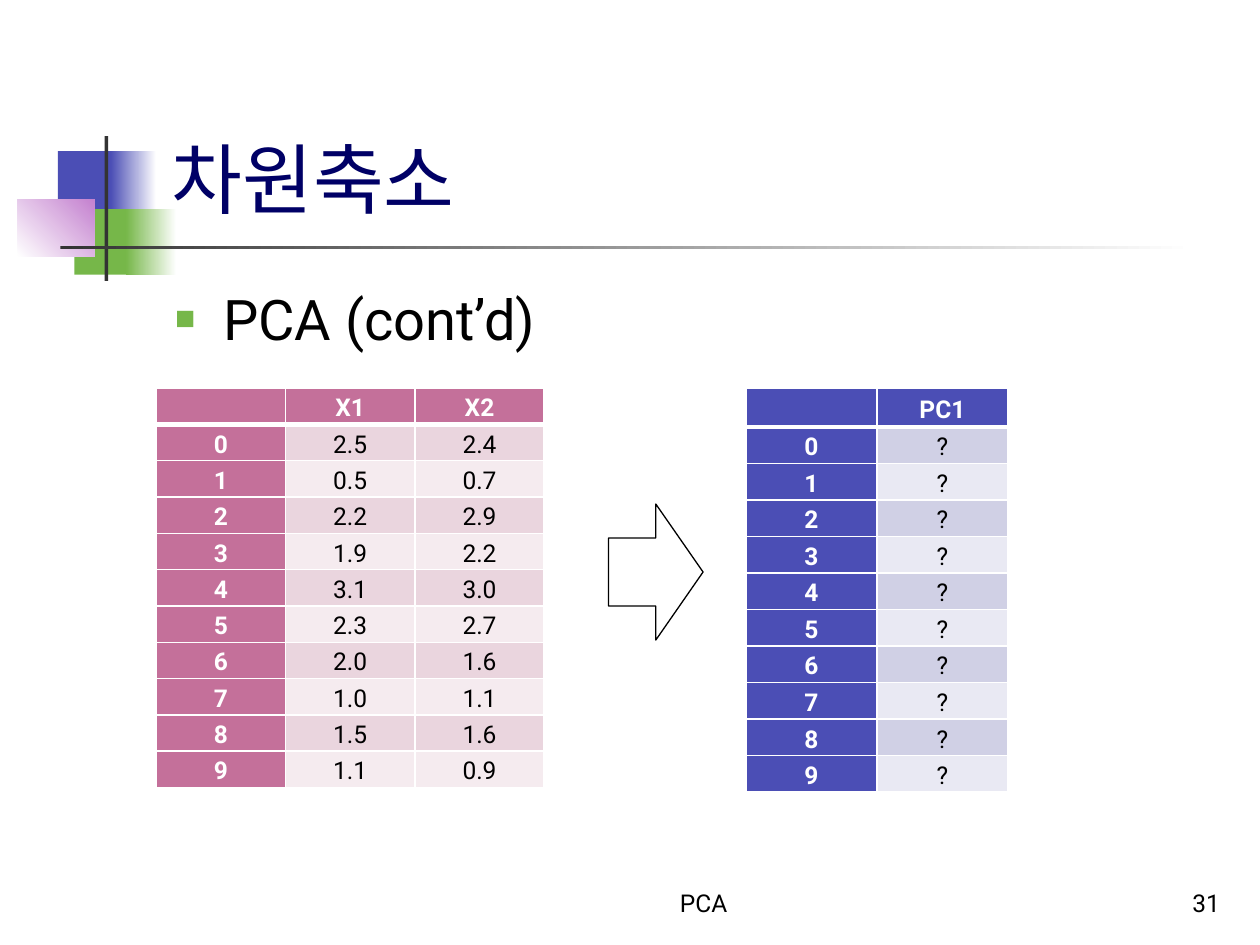
from lxml import etree
from pptx import Presentation
from pptx.dml.color import RGBColor
from pptx.enum.shapes import MSO_SHAPE
from pptx.enum.text import MSO_ANCHOR, MSO_AUTO_SIZE, PP_ALIGN
from pptx.oxml.ns import qn
from pptx.util import Inches, Pt

FONT = "Roboto"
COLORS = {
    "blue": "4B4EB5", "green": "76B749", "violet": "C481CF", "dark": "333333",
    "white": "FFFFFF", "black": "000000", "navy": "000066", "pink": "C4709A",
    "pink_band": "EAD5DE", "pink_light": "F5EBEF",
    "blue_band": "D0D0E5", "blue_light": "E9E9F3",
}


def rgb(name):
    """Return the named colour."""
    return RGBColor.from_string(COLORS[name])


def write(paragraph, text, size, color, align=None, bold=False):
    """Fill a paragraph with one formatted run."""
    run = paragraph.add_run()
    run.text = text
    paragraph.alignment = align
    run.font.name, run.font.size, run.font.bold = FONT, Pt(size), bold
    run.font.color.rgb = rgb(color)


def place(shape, left, top, width, height):
    """Move and size a shape."""
    shape.left, shape.top = Inches(left), Inches(top)
    shape.width, shape.height = Inches(width), Inches(height)


def add_block(slide, box, start, end=None, angle=0):
    """Add a borderless rectangle with a plain or gradient fill."""
    block = slide.shapes.add_shape(MSO_SHAPE.RECTANGLE, *map(Inches, box))
    block.shadow.inherit = False
    block.line.fill.background()
    if end is None:
        block.fill.solid()
        block.fill.fore_color.rgb = rgb(start)
        return
    block.fill.gradient()
    block.fill.gradient_angle = angle
    for stop, name, position in zip(block.fill.gradient_stops, (start, end), (0, 1)):
        stop.color.rgb = rgb(name)
        stop.position = position


def add_ornament(slide, left, top):
    """Draw the overlapping squares and the two rules beside the title."""
    blocks = [
        ((0.32, 0.12, 0.48, 0.52), "blue"),
        ((0.74, 0.12, 0.36, 0.52), "blue", "white"),
        ((0.45, 0.58, 0.46, 0.52), "green"),
        ((0.86, 0.58, 0.4, 0.52), "green", "white"),
        ((0, 0.5, 0.61, 0.46), "white", "violet", 45),
        ((0.69, 0, 0.03, 1.15), "dark"),
        ((0.34, 0.87, 9, 0.03), "dark", "white"),
    ]
    for (x, y, width, height), *fill in blocks:
        add_block(slide, (left + x, top + y, width, height), *fill)


def fill_title(slide, box, text):
    """Place the title at the bottom of its box."""
    title = slide.shapes.title
    slide.shapes._spTree.append(title._element)
    place(title, *box)
    frame = title.text_frame
    frame.auto_size = MSO_AUTO_SIZE.NONE
    frame.vertical_anchor = MSO_ANCHOR.BOTTOM
    write(frame.paragraphs[0], text, 44, "navy", PP_ALIGN.LEFT)


def fill_body(slide, box, text):
    """Place the body list with a square green bullet."""
    body = slide.placeholders[1]
    slide.shapes._spTree.append(body._element)
    place(body, *box)
    body.text_frame.auto_size = MSO_AUTO_SIZE.NONE
    paragraph = body.text_frame.paragraphs[0]
    write(paragraph, text, 32, "black", PP_ALIGN.LEFT)
    props = paragraph._p.get_or_add_pPr()
    props.set("marL", str(Inches(0.38)))
    props.set("indent", str(-Inches(0.38)))
    bullet_color = etree.SubElement(props, qn("a:buClr"))
    etree.SubElement(bullet_color, qn("a:srgbClr"), val=COLORS["green"])
    etree.SubElement(props, qn("a:buSzPct"), val="60000")
    etree.SubElement(props, qn("a:buChar"), char="■")


def add_footer(slide, box, text, align):
    """Add one footer text."""
    frame = slide.shapes.add_textbox(*map(Inches, box)).text_frame
    frame.word_wrap = True
    frame.vertical_anchor = MSO_ANCHOR.BOTTOM
    write(frame.paragraphs[0], text, 14, "black", align)


def set_borders(cell, top, bottom):
    """Give a cell white borders."""
    props = cell._tc.get_or_add_tcPr()
    for side, width in (("L", 1), ("R", 1), ("T", top), ("B", bottom)):
        line = etree.SubElement(props, qn("a:ln" + side), w=str(Pt(width)))
        fill = etree.SubElement(line, qn("a:solidFill"))
        etree.SubElement(fill, qn("a:srgbClr"), val=COLORS["white"])


def add_data_table(slide, box, rows, hue, header_height, row_height):
    """Add a banded table with a coloured header row and index column."""
    table = slide.shapes.add_table(len(rows), len(rows[0]), *map(Inches, box)).table
    for column in table.columns:
        column.width = Inches(box[2] / len(rows[0]))
    for r, values in enumerate(rows):
        table.rows[r].height = Inches(row_height if r else header_height)
        for c, value in enumerate(values):
            cell = table.cell(r, c)
            heading = r == 0 or c == 0
            band = hue + ("_band" if r % 2 else "_light")
            set_borders(cell, 3 if r == 1 else 1, 3 if r == 0 else 1)
            cell.fill.solid()
            cell.fill.fore_color.rgb = rgb(hue if heading else band)
            cell.vertical_anchor = MSO_ANCHOR.MIDDLE
            cell.margin_left = cell.margin_right = Inches(0.01)
            cell.margin_top = cell.margin_bottom = Inches(0.01)
            paragraph = cell.text_frame.paragraphs[0]
            paragraph.line_spacing = 1.15
            if value:
                write(paragraph, value, 14, "white" if heading else "black",
                      PP_ALIGN.CENTER, heading)
            else:
                paragraph.font.size = Pt(14)


def add_arrow(slide, box):
    """Add the outlined arrow between the tables."""
    arrow = slide.shapes.add_shape(MSO_SHAPE.RIGHT_ARROW, *map(Inches, box))
    arrow.shadow.inherit = False
    arrow.fill.background()
    arrow.line.color.rgb = rgb("black")
    arrow.line.width = Pt(0.75)


def build_slide(prs):
    """Build the dimension reduction slide."""
    slide = prs.slides.add_slide(prs.slide_layouts[1])
    x1 = "2.5 0.5 2.2 1.9 3.1 2.3 2.0 1.0 1.5 1.1".split()
    x2 = "2.4 0.7 2.9 2.2 3.0 2.7 1.6 1.1 1.6 0.9".split()
    samples = [(str(i), *pair) for i, pair in enumerate(zip(x1, x2))]
    unknowns = [(str(i), "?") for i in range(len(x1))]
    add_ornament(slide, 0.14, 1.08)
    fill_title(slide, (1.26, 0.23, 8.52, 1.6), "차원축소")
    fill_body(slide, (1.29, 2.21, 8.5, 4.5), "PCA (cont’d)")
    add_footer(slide, (4, 6.83, 3.17, 0.5), "PCA", PP_ALIGN.CENTER)
    add_footer(slide, (7.7, 6.83, 2.08, 0.5), "31", PP_ALIGN.RIGHT)
    add_data_table(slide, (1.24, 3.08, 3.08, 3.18), [("", "X1", "X2")] + samples,
                   "pink", 0.27, 0.27)
    add_data_table(slide, (5.92, 3.08, 2.08, 3.2), [("", "PC1")] + unknowns,
                   "blue", 0.31, 0.29)
    add_arrow(slide, (4.83, 4, 0.75, 1.08))


prs = Presentation()
prs.slide_width, prs.slide_height = Inches(10), Inches(7.5)
build_slide(prs)
prs.save("out.pptx")
